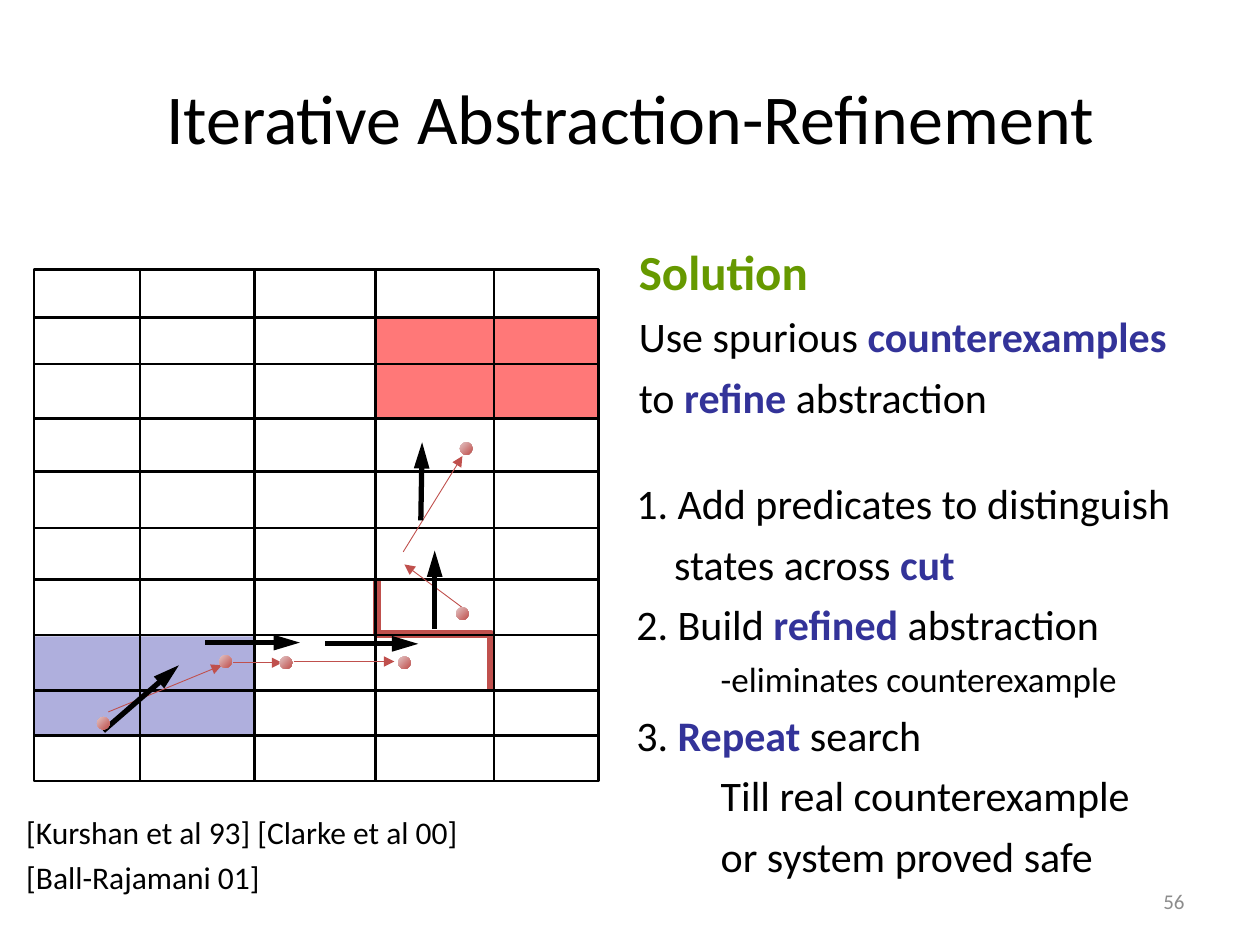
"""Build the slide on iterative abstraction-refinement."""
import dataclasses

import lxml.etree
import pptx
import pptx.dml.color
import pptx.enum.shapes
import pptx.enum.text
import pptx.oxml.ns
import pptx.util

PX = 9144
SHAPE = pptx.enum.shapes.MSO_SHAPE
ALIGN = pptx.enum.text.PP_ALIGN
ANCHOR = pptx.enum.text.MSO_ANCHOR


@dataclasses.dataclass(frozen=True)
class Theme:
    font: str = "Calibri"
    ink: str = "000000"
    head: str = "669900"
    key: str = "333399"
    grey: str = "8C8C8C"
    red: str = "C0504D"
    pale: str = "E4C6C6"
    error: str = "FF0000"
    start: str = "AFAFDD"
    title: int = 40
    large: int = 28
    body: int = 24
    minor: int = 20
    cite: int = 18
    small: int = 12
    grid: float = 1.5
    cut: float = 4.5
    thin: float = 0.5
    thick: float = 3


THEME = Theme()


def emu(*sizes):
    return [size * PX for size in sizes]


def rgb(code):
    return pptx.dml.color.RGBColor.from_string(code)


def add_tag(node, name, **marks):
    return lxml.etree.SubElement(node, pptx.oxml.ns.qn(name), **marks)


def place(shape, *box):
    shape.left, shape.top, shape.width, shape.height = emu(*box)
    return shape


def write(shape, lines, align=ALIGN.LEFT, anchor=ANCHOR.TOP):
    frame = shape.text_frame
    frame.word_wrap = True
    frame.auto_size = pptx.enum.text.MSO_AUTO_SIZE.NONE
    frame.vertical_anchor = anchor
    for count, (size, indent, runs) in enumerate(lines):
        para = frame.add_paragraph() if count else frame.paragraphs[0]
        para.alignment = align
        para.space_before = pptx.util.Pt(size * 0.24 if count else 0)
        props = para._p.get_or_add_pPr()
        props.set("marL", str(indent * PX))
        props.set("indent", "0")
        add_tag(props, "a:buNone")
        for text, *style in runs:
            color, bold = style or (THEME.ink, False)
            run = para.add_run()
            run.text = text
            run.font.name = THEME.font
            run.font.size = pptx.util.Pt(size)
            run.font.bold = bold
            run.font.color.rgb = rgb(color)


def add_block(slide, kind, box, fill=None):
    shape = slide.shapes.add_shape(kind, *emu(*box))
    shape.shadow.inherit = False
    shape.line.fill.background()
    if fill:
        shape.fill.solid()
        shape.fill.fore_color.rgb = rgb(fill)
    else:
        shape.fill.background()
    return shape


def draw_edge(shape, color, width):
    shape.line.color.rgb = rgb(color)
    shape.line.width = pptx.util.Pt(width)


def add_line(slide, ends, color, width, head=None):
    kind = pptx.enum.shapes.MSO_CONNECTOR.STRAIGHT
    line = slide.shapes.add_connector(kind, *emu(*ends))
    draw_edge(line, color, width)
    if head:
        edge = line._element.xpath(".//a:ln")[0]
        add_tag(edge, "a:tailEnd", type="triangle", w="med", len=head)
    add_tag(line._element.spPr, "a:effectLst")


def add_dot(slide, left, top):
    dot = add_block(slide, SHAPE.OVAL, (left, top, 10, 10))
    dot.fill.gradient()
    dot.fill.gradient_angle = 315
    for stop, color in zip(dot.fill.gradient_stops, (THEME.pale, THEME.red)):
        stop.color.rgb = rgb(color)


def add_cut(slide):
    build = slide.shapes.build_freeform(299, 459, scale=PX)
    build.add_line_segments([(299, 503), (390, 503), (390, 547)], close=False)
    cut = build.convert_to_shape()
    cut.shadow.inherit = False
    cut.fill.background()
    draw_edge(cut, THEME.red, THEME.cut)


def add_grid(slide):
    left, top, wide, high = box = 27, 214, 448, 406
    frame = add_block(slide, SHAPE.RECTANGLE, box)
    draw_edge(frame, THEME.ink, THEME.grid)
    cols = [(x, top, x, top + high) for x in (111, 202, 298, 392)]
    rows = [(left, y, left + wide, y)
            for y in (252, 289, 332, 374, 419, 460, 504, 548, 584)]
    for ends in cols + rows:
        add_line(slide, ends, THEME.ink, THEME.grid)


def add_trace(slide):
    for ends in ((233, 525, 313, 525), (185, 526, 224, 526),
                 (86, 565, 176, 528), (368, 483, 321, 448),
                 (320, 438, 367, 362)):
        add_line(slide, ends, THEME.red, THEME.thin, "med")
    for ends in ((82, 580, 142, 528), (258, 511, 332, 511),
                 (163, 510, 238, 510), (345, 499, 345, 437),
                 (334, 413, 335, 351)):
        add_line(slide, ends, THEME.ink, THEME.thick, "lg")
    for spot in ((174, 520), (222, 521), (362, 482), (365, 351),
                 (316, 521), (77, 569)):
        add_dot(slide, *spot)


def add_text(slide):
    key = THEME.key, True
    body, minor = THEME.body, THEME.minor
    title, goal, steps = slide.placeholders
    place(title, 50, 30, 900, 125)
    write(title, [(THEME.title, 0, [("Iterative Abstraction-Refinement",)])],
          ALIGN.CENTER, ANCHOR.MIDDLE)
    write(place(goal, 497, 187, 493, 191), [
        (THEME.large, 0, [("Solution", THEME.head, True)]),
        (body, 0, [("Use spurious ",), ("counterexamples", *key)]),
        (body, 0, [("to ",), ("refine", *key), (" abstraction",)])])
    write(place(steps, 495, 374, 505, 320), [
        (body, 0, [("1. Add predicates to distinguish",)]),
        (body, 30, [("states across",), (" cut", *key)]),
        (body, 0, [("2. Build ",), ("refined", *key), (" abstraction",)]),
        (minor, 67, [("-eliminates counterexample",)]),
        (body, 0, [("3. ",), ("Repeat", *key), (" search",)]),
        (body, 67, [("Till real counterexample",)]),
        (body, 67, [("or system proved safe",)])])
    cites = slide.shapes.add_textbox(*emu(11, 640, 505, 80))
    write(cites, [(THEME.cite, 0, [("[Kurshan et al 93] [Clarke et al 00]",)]),
                  (THEME.cite, 0, [("[Ball-Rajamani 01]",)])])
    page = slide.shapes.add_textbox(*emu(717, 695, 233, 40))
    write(page, [(THEME.small, 0, [("56", THEME.grey, False)])],
          ALIGN.RIGHT, ANCHOR.MIDDLE)


def main():
    deck = pptx.Presentation()
    deck.slide_width, deck.slide_height = emu(1000, 750)
    slide = deck.slides.add_slide(deck.slide_layouts[3])
    error = add_block(slide, SHAPE.RECTANGLE, (299, 253, 176, 79), THEME.error)
    tint = error._element.xpath(".//a:solidFill/a:srgbClr")[0]
    add_tag(tint, "a:alpha", val="53000")
    add_block(slide, SHAPE.RECTANGLE, (28, 505, 174, 79), THEME.start)
    add_text(slide)
    add_cut(slide)
    add_grid(slide)
    add_trace(slide)
    deck.save("out.pptx")


if __name__ == "__main__":
    main()
